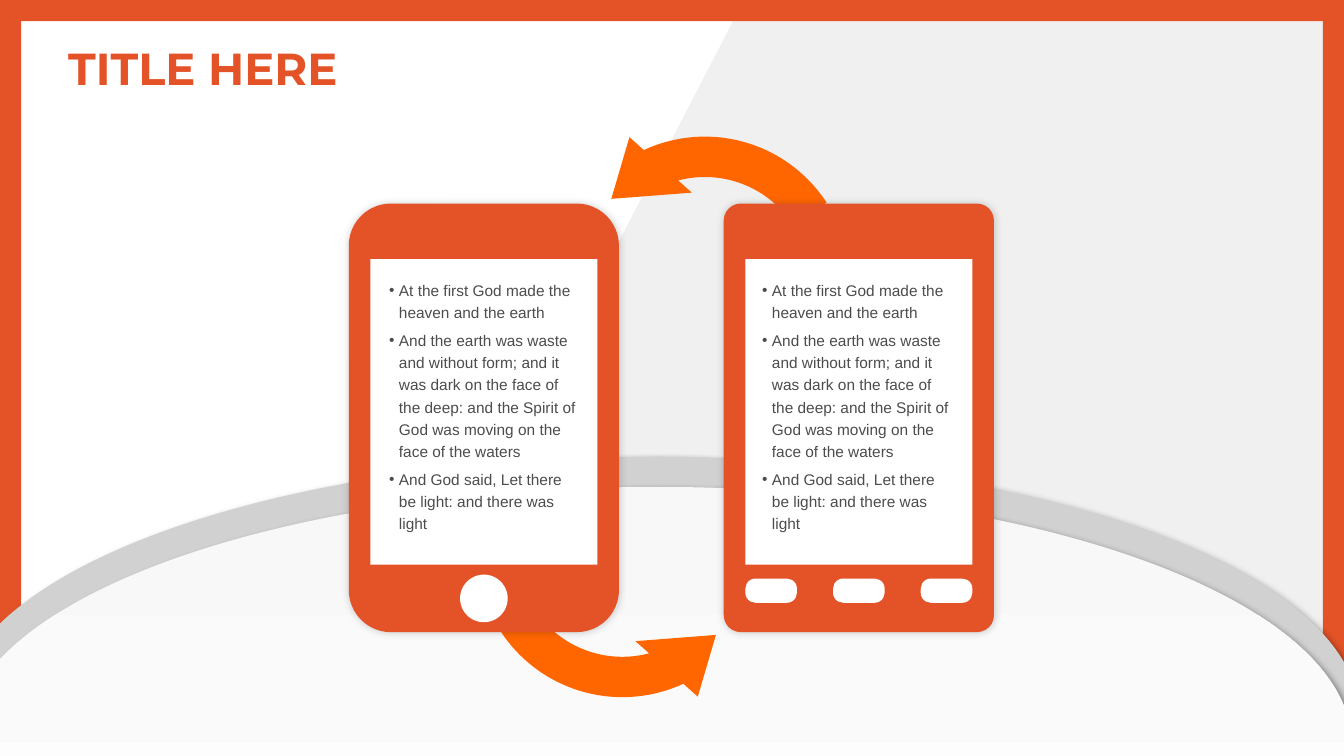
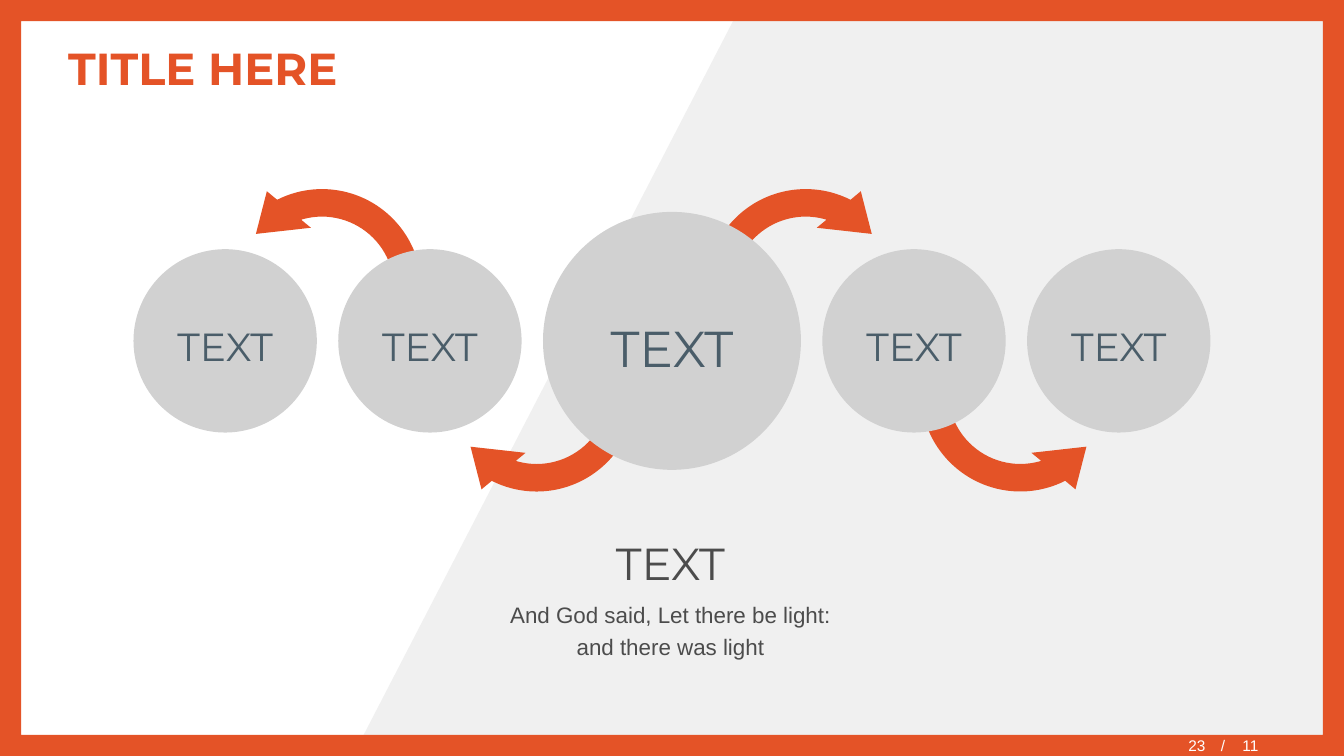
from lxml import etree
from pptx import Presentation
from pptx.dml.color import RGBColor
from pptx.enum.shapes import MSO_SHAPE
from pptx.enum.text import MSO_ANCHOR, PP_ALIGN
from pptx.oxml.ns import qn
from pptx.util import Cm, Pt

ARROW, FRAME = MSO_SHAPE.CIRCULAR_ARROW, MSO_SHAPE.FRAME
OVAL, RECT, ROUND = MSO_SHAPE.OVAL, MSO_SHAPE.RECTANGLE, MSO_SHAPE.ROUNDED_RECTANGLE
TOP, MID = MSO_ANCHOR.TOP, MSO_ANCHOR.MIDDLE
LEFT, CENTER = PP_ALIGN.LEFT, PP_ALIGN.CENTER

WIDE, HIGH = 33.87, 19.05
RED, ORANGE, WHITE = "E45327", "FF6600", "FFFFFF"
PALE, GREY, SNOW = "F0F0F0", "D1D1D1", "F8F8F8"
INK, SLATE = "4C4C4C", "4A5D69"
HEAD, BODY = "Montserrat", "Arial"

TITLE = "TITLE HERE"
VERSES = [
    "At the first God made the heaven and the earth",
    "And the earth was waste and without form; and it was dark on the face "
    "of the deep: and the Spirit of God was moving on the face of the waters",
    "And God said, Let there be light: and there was light",
]
LABEL = "TEXT"
PAGE = "23\t/\t11"

SLANT = [(18.75, 0), (WIDE, 0), (WIDE, HIGH), (8.89, HIGH)]

# Shadows: opacity in percent, blur and distance in points, angle in degrees
HILL_SHADE = (40, 4, 3, 45)
PHONE_SHADE = (20, 6, 0, 315)

SWAP_BEND = (0.121, 16.595, 192.432, 145.873, 0.125)
SWAP_SIZE = 8.41
SWAP_BACK, SWAP_ON = (13.56, 2.9, 30), (11.48, 9.7, 210)

PHONE_Y, PHONE_W, PHONE_H = 5.13, 6.81, 10.8
SCREEN_W, SCREEN_H = 5.72, 7.7
KEY_W, KEY_H, HOME = 1.3, 0.61, 1.2

HOP_BEND = (0.12, 16.595, 202.616, 143.239, 0.125)
HOP_SIZE = 5.77
HOPS = [  # left, top, turn, flip
    (17.42, 4.39, 315, ""),
    (22.83, 6.99, 45, "V"),
    (10.64, 6.99, 315, "HV"),
    (5.23, 4.39, 45, "H"),
]
DISCS = [(4.62, 28), (4.62, 28), (6.5, 36), (4.62, 28), (4.62, 28)]  # width, text size
DISC_GAP, DISC_MID = 0.54, 8.59


def paint(color):
    return RGBColor.from_string(color)


def cast(shape, shade):
    alpha, blur, dist, angle = shade
    effects = shape.element.spPr.find(qn("a:effectLst"))
    outer = etree.SubElement(
        effects, qn("a:outerShdw"), blurRad=str(Pt(blur)), dist=str(Pt(dist)),
        dir=str(angle * 60000), algn="ctr", rotWithShape="0")
    black = etree.SubElement(outer, qn("a:srgbClr"), val="000000")
    etree.SubElement(black, qn("a:alpha"), val=str(alpha * 1000))


def dress(shape, color):
    shape.shadow.inherit = False
    shape.fill.solid()
    shape.fill.fore_color.rgb = paint(color)
    shape.line.fill.background()


def put(slide, kind, box, color, adj=(), turn=0, flip="", shade=None):
    shape = slide.shapes.add_shape(kind, *map(Cm, box))
    dress(shape, color)
    for i, value in enumerate(adj):
        shape.adjustments[i] = value
    shape.rotation = turn
    for axis in flip:
        shape.element.spPr.xfrm.set("flip" + axis, "1")
    if shade:
        cast(shape, shade)
    return shape


def write(shape, lines, size, color, font=BODY, bold=False, align=LEFT, anchor=TOP,
          inset=(0.25, 0.13, 0.25, 0.13), lead=1.2, bullet="", tabs=()):
    """Add one paragraph per line after any text the shape already holds."""
    frame = shape.text_frame
    frame.word_wrap = True
    frame.vertical_anchor = anchor
    (frame.margin_left, frame.margin_top,
     frame.margin_right, frame.margin_bottom) = map(Cm, inset)
    for line in lines:
        first = not frame.text
        para = frame.paragraphs[0] if first else frame.add_paragraph()
        props = para._p.get_or_add_pPr()
        if bullet:
            props.set("marL", str(Cm(0.25)))
            props.set("indent", str(Cm(-0.25)))
            etree.SubElement(props, qn("a:buFont"), typeface=BODY)
            etree.SubElement(props, qn("a:buChar"), char=bullet)
        if tabs:
            stops = etree.SubElement(props, qn("a:tabLst"))
            for stop in tabs:
                etree.SubElement(stops, qn("a:tab"), pos=str(Cm(stop)), algn="l")
        para.alignment = align
        para.line_spacing = lead
        para.space_before = Pt(0 if first else 2)
        para.space_after = Pt(2)
        run = para.add_run()
        run.text = line
        run.font.size, run.font.name, run.font.bold = Pt(size), font, bold
        run.font.color.rgb = paint(color)


def label(slide, box, lines, *args, **form):
    shape = slide.shapes.add_textbox(*map(Cm, box))
    write(shape, lines, *args, **form)
    return shape


def start(deck):
    """Add a slide with the slanted band and the red frame."""
    slide = deck.slides.add_slide(deck.slide_layouts[6])
    points = [(Cm(x), Cm(y)) for x, y in SLANT]
    path = slide.shapes.build_freeform(*points[0])
    path.add_line_segments(points[1:])
    dress(path.convert_to_shape(), PALE)
    put(slide, FRAME, (0, 0, WIDE, HIGH), RED, [0.028])
    return slide


def head(slide):
    label(slide, (1.47, 0.71, 30.94, 2.01), [TITLE], 32, RED, font=HEAD,
          bold=True, anchor=MID, lead=1)


def swap(slide, x, y, turn):
    put(slide, ARROW, (x, y, SWAP_SIZE, SWAP_SIZE), ORANGE, SWAP_BEND, turn, "H")


def phone(slide, x, curve, pad):
    """Draw a phone body and its screen of verses; return the screen's left."""
    put(slide, ROUND, (x, PHONE_Y, PHONE_W, PHONE_H), RED, [curve], shade=PHONE_SHADE)
    left = x + (PHONE_W - SCREEN_W) / 2
    screen = put(slide, RECT, (left, PHONE_Y + 1.4, SCREEN_W, SCREEN_H), WHITE)
    write(screen, VERSES, 11, INK, bullet="•", inset=(pad, 0.46, 0.87 - pad, 0.13))
    return left


def phones(deck):
    slide = start(deck)
    swap(slide, *SWAP_BACK)
    put(slide, OVAL, (-1.17, 11.51, 35.43, 13.08), GREY, shade=HILL_SHADE)
    head(slide)
    hill = put(slide, OVAL, (-0.97, 12.27, 35.03, 12.93), SNOW, shade=HILL_SHADE)
    hill.fill.gradient()
    hill.fill.gradient_angle = 270
    for stop, color in zip(hill.fill.gradient_stops, (SNOW, WHITE)):
        stop.color.rgb = paint(color)

    left = phone(slide, 18.24, 0.063, 0.42)
    step = (SCREEN_W - KEY_W) / 2
    for i in range(3):
        put(slide, ROUND, (left + i * step, PHONE_Y + 9.45, KEY_W, KEY_H), WHITE, [0.416])

    swap(slide, *SWAP_ON)
    left = phone(slide, 8.79, 0.156, 0.47)
    put(slide, OVAL, (left + (SCREEN_W - HOME) / 2, PHONE_Y + 9.35, HOME, HOME), WHITE)


def circles(deck):
    slide = start(deck)
    head(slide)
    for x, y, turn, flip in HOPS:
        put(slide, ARROW, (x, y, HOP_SIZE, HOP_SIZE), RED, HOP_BEND, turn, flip)

    total = sum(width for width, _ in DISCS) + DISC_GAP * (len(DISCS) - 1)
    x = (WIDE - total) / 2
    for width, size in DISCS:
        disc = put(slide, OVAL, (x, DISC_MID - width / 2, width, width), GREY)
        write(disc, [LABEL], size, SLATE, font=HEAD, align=CENTER, anchor=MID,
              inset=(0, 0, 0, 0))
        x += width + DISC_GAP

    note = label(slide, (12.12, 13.11, 9.55, 4.29), [LABEL], 32, INK, font=HEAD, align=CENTER)
    write(note, VERSES[-1:], 16, INK, align=CENTER)
    label(slide, (29.95, 18.55, 3, 0.46), [PAGE], 11, WHITE, anchor=MID, lead=1,
          inset=(0, 0, 0, 0), tabs=(0.82, 1.36))


def main():
    deck = Presentation()
    deck.slide_width, deck.slide_height = Cm(WIDE), Cm(HIGH)
    phones(deck)
    circles(deck)
    deck.save("out.pptx")


if __name__ == "__main__":
    main()
